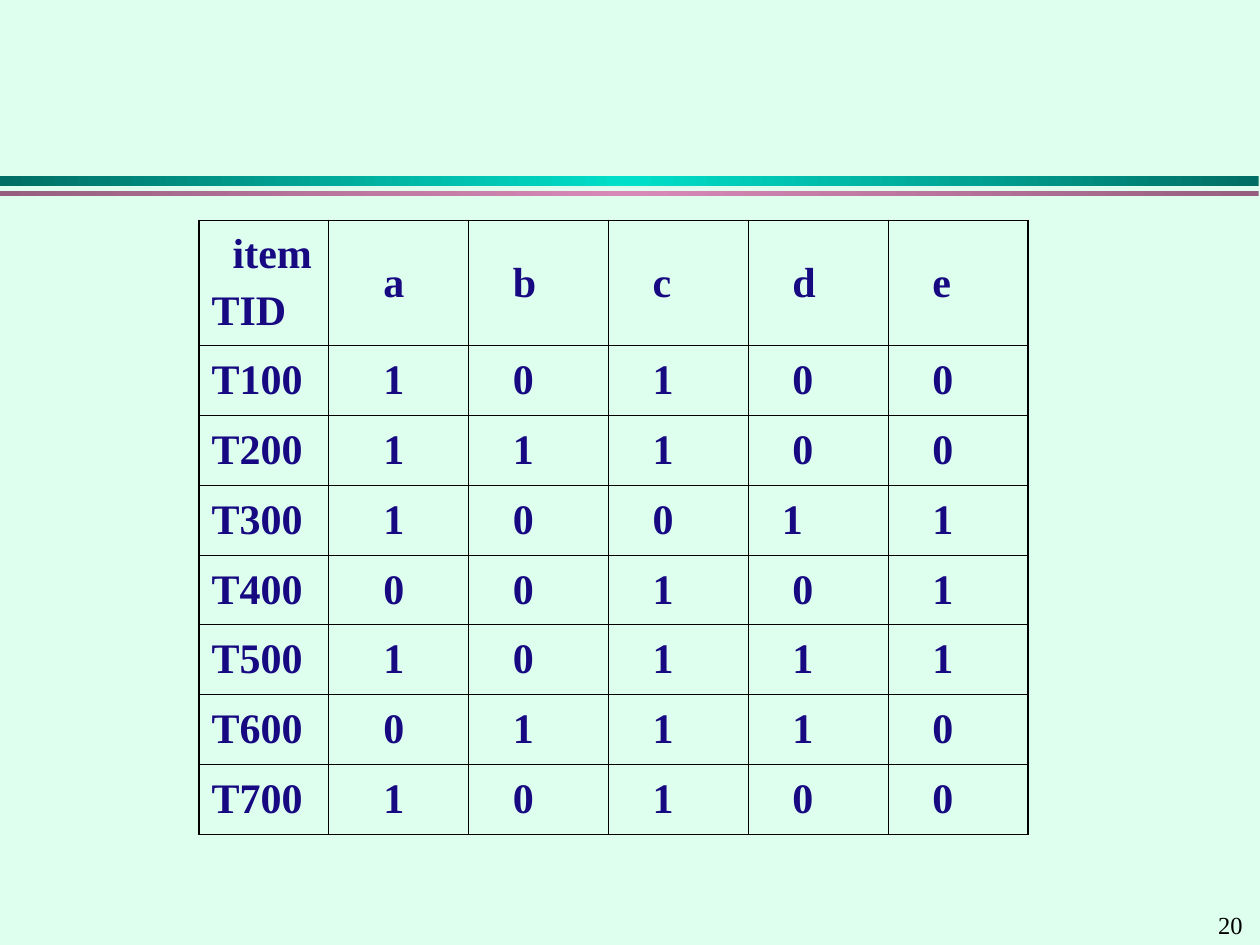
from copy import deepcopy

from lxml.etree import SubElement
from pptx import Presentation
from pptx.dml.color import RGBColor
from pptx.enum.shapes import MSO_SHAPE as Shape
from pptx.enum.text import MSO_ANCHOR as Anchor, MSO_AUTO_SIZE as AutoSize
from pptx.oxml.ns import qn
from pptx.util import Inches, Pt

ITEMS = "abcde"
TRANSACTIONS = {
    "T100": "10100",
    "T200": "11100",
    "T300": "10011",
    "T400": "00101",
    "T500": "10111",
    "T600": "01110",
    "T700": "10100",
}
SPACE_WIDTH = 6


def color(value):
    return RGBColor.from_string(value)


def write(frame, text, size=24, ink="170981", bold=False, font="Times New Roman",
          before=0, indents=(0,)):
    for index, (line, indent) in enumerate(zip(text.split("\n"), indents)):
        para = frame.paragraphs[0] if index == 0 else frame.add_paragraph()
        para.space_before = Pt(before)
        if indent:
            para._p.get_or_add_pPr().set("marL", str(Pt(indent)))
        span = para.add_run()
        span.text = line
        span.font.name = font
        span.font.size = Pt(size)
        span.font.bold = bold
        span.font.color.rgb = color(ink)


class SlideBuilder:
    border_color = "000000"
    inner_border = 0.45
    outer_border = 1.08

    def __init__(self, page, background):
        self.page = page
        page.background.fill.solid()
        page.background.fill.fore_color.rgb = color(background)

    def band(self, top, height, edge, middle):
        box = self.page.shapes.add_shape(
            Shape.RECTANGLE, Inches(0), Inches(top), Inches(9.99), Inches(height))
        box.shadow.inherit = False
        box.line.fill.background()
        box.fill.gradient()
        box.fill.gradient_angle = 180
        stop_list = box.element.xpath(".//a:gsLst")[0]
        stop_list.insert(1, deepcopy(stop_list[0]))
        stops = zip(box.fill.gradient_stops, (0, 0.5, 1), (edge, middle, edge))
        for stop, position, shade in stops:
            stop.position = position
            stop.color.rgb = color(shade)

    def page_number(self, text):
        box = self.page.shapes.add_textbox(
            Inches(9.57), Inches(7.17), Inches(0.43), Inches(0.34))
        box.text_frame.word_wrap = True
        box.text_frame.auto_size = AutoSize.SHAPE_TO_FIT_TEXT
        write(box.text_frame, text, size=14, ink="000000")

    def borders(self, cell, outer_sides):
        properties = cell._tc.get_or_add_tcPr()
        for index, side in enumerate("LRTB"):
            width = self.outer_border if side in outer_sides else self.inner_border
            line = SubElement(properties, qn(f"a:ln{side}"), w=str(Pt(width)))
            fill = SubElement(line, qn("a:solidFill"))
            SubElement(fill, qn("a:srgbClr"), val=self.border_color)
            properties.insert(index, line)

    def table(self, rows, left, top, widths, heights):
        frame = self.page.shapes.add_table(
            len(rows), len(widths), Inches(left), Inches(top),
            Inches(sum(widths)), Inches(sum(heights)))
        table = frame.table
        table.first_row = table.horz_banding = False
        for column, width in zip(table.columns, widths):
            column.width = Inches(width)
        for row, height in zip(table.rows, heights):
            row.height = Inches(height)
        last_row, last_column = len(rows) - 1, len(widths) - 1
        for r, row in enumerate(rows):
            for c, (text, spaces) in enumerate(row):
                cell = table.cell(r, c)
                cell.vertical_anchor = Anchor.MIDDLE
                cell.margin_left = cell.margin_right = Inches(0.1)
                cell.margin_top = cell.margin_bottom = Inches(0.05)
                cell.fill.background()
                write(cell.text_frame, text, bold=True, before=6,
                      indents=[count * SPACE_WIDTH for count in spaces])
                edges = {"L": c == 0, "R": c == last_column,
                         "T": r == 0, "B": r == last_row}
                self.borders(cell, [side for side in edges if edges[side]])


def table_rows():
    column_spaces = (4, 3, 3, 3, 3)
    rows = [[("item\nTID", (2, 0))]]
    rows += [[(name, (0,))] for name in TRANSACTIONS]
    for row, values in zip(rows, [ITEMS, *TRANSACTIONS.values()]):
        row += [(value, (count,)) for value, count in zip(values, column_spaces)]
    rows[3][4] = ("1", (2,))
    return rows


def main():
    deck = Presentation()
    deck.slide_width, deck.slide_height = Inches(10), Inches(7.5)
    builder = SlideBuilder(deck.slides.add_slide(deck.slide_layouts[6]), "DEFEEE")
    builder.band(1.4, 0.08, "006E64", "00DFCA")
    builder.band(1.52, 0.04, "965F7F", "D989B8")
    builder.page_number("20")
    builder.table(table_rows(), 1.58, 1.75,
                  [1.03] + [1.11] * len(ITEMS),
                  [0.99] + [0.555] * len(TRANSACTIONS))
    deck.save("out.pptx")


if __name__ == "__main__":
    main()
